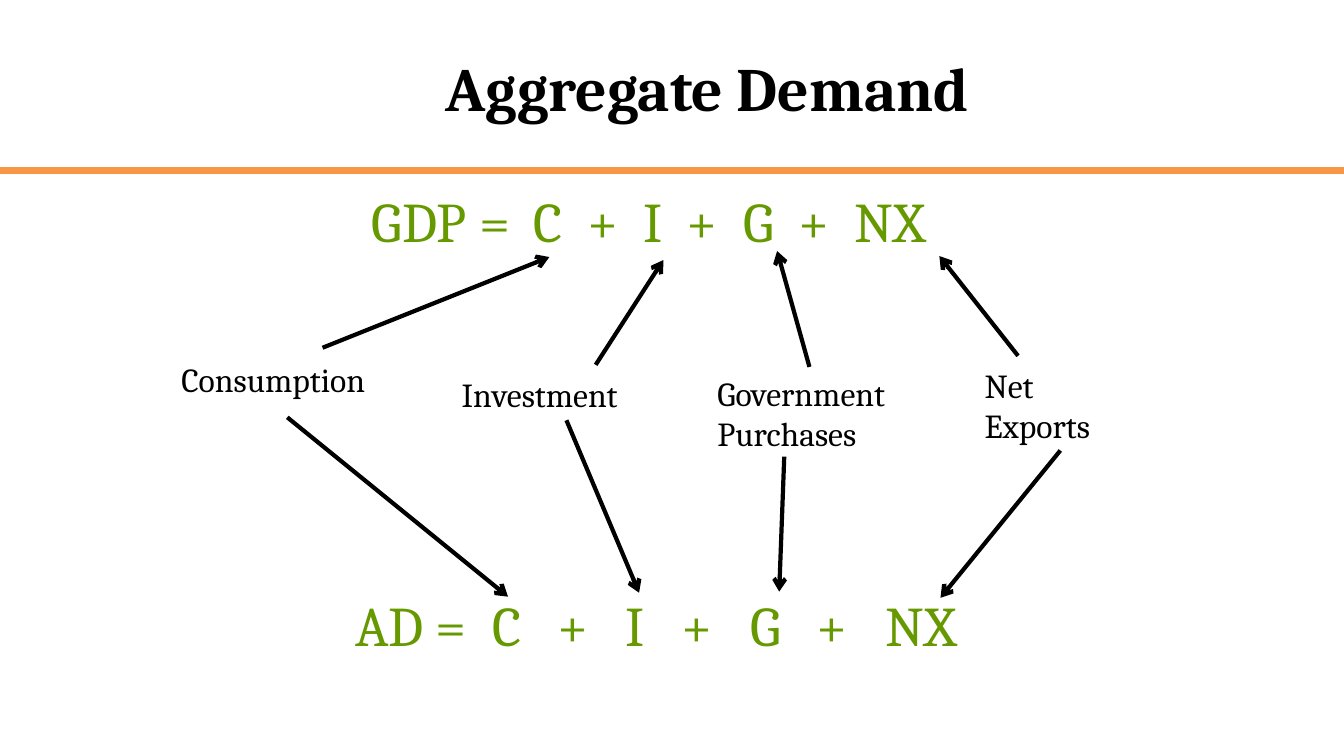
from dataclasses import dataclass

from lxml import etree
from pptx import Presentation
from pptx import util as u
from pptx.dml import color
from pptx.enum import shapes, text
from pptx.oxml import ns

TITLE = "Aggregate Demand"
EQUATIONS = [
    {
        "head": "GDP =",
        "box": (258.5, 129.6, 496, 55.4),
        "text_left": 265.7,
        "centres": (391.4, 430.7, 466.4, 501.4, 542.1, 581.4, 635.7),
    },
    {
        "head": "AD =",
        "box": (137.5, 418.3, 661.7, 55.4),
        "text_left": 253.7,
        "centres": (362.1, 409.3, 453.6, 497.9, 547.1, 594.3, 657.9),
    },
]
TERMS = ("C", "+", "I", "+", "G", "+", "NX")
COMPONENTS = [
    {
        "label": "Consumption",
        "box": (122.4, 252.7, 164.2, 36),
        "arrows": [(230.4, 248.4, 392.4, 183.6), (205.2, 298.1, 362.9, 426.2)],
    },
    {
        "label": "Investment",
        "box": (322.6, 263.5, 164.2, 36),
        "arrows": [(425.5, 260.6, 473.8, 185.8), (404.6, 300.2, 456.5, 423.4)],
    },
    {
        "label": "Government\nPurchases",
        "box": (505.4, 262.8, 164.2, 65.5),
        "arrows": [(578.2, 262.1, 555.1, 179.3), (560.2, 326.2, 556.6, 422.6)],
    },
    {
        "label": "Net\nExports",
        "box": (696.2, 257, 123.1, 65.5),
        "arrows": [(727.2, 254.2, 671, 182.9), (757.4, 321.8, 671.8, 427)],
    },
]


@dataclass(frozen=True)
class Theme:
    font: str = "Cambria"
    ink: str = "000000"
    equation: str = "669900"
    rule: str = "F79646"
    title_size: int = 44
    equation_size: int = 40
    label_size: int = 24
    rule_width: float = 4.5
    arrow_width: float = 3


THEME = Theme()


def points(values):
    return [u.Pt(value) for value in values]


def style(frame, size, ink, bold=False):
    for para in frame.paragraphs:
        for span in para.runs:
            span.font.name = THEME.font
            span.font.size = u.Pt(size)
            span.font.bold = bold
            span.font.color.rgb = color.RGBColor.from_string(ink)


def add_text(page, area, words, size, ink):
    box = page.shapes.add_textbox(*points(area))
    frame = box.text_frame
    frame.word_wrap = True
    frame.text = words
    style(frame, size, ink)
    return frame


def add_line(page, ends, ink, width):
    line = page.shapes.add_connector(shapes.MSO_CONNECTOR.STRAIGHT, *points(ends))
    line.line.color.rgb = color.RGBColor.from_string(ink)
    line.line.width = u.Pt(width)
    etree.SubElement(line._element.spPr, ns.qn("a:effectLst"))
    return line


def add_arrow(page, ends):
    arrow = add_line(page, ends, THEME.ink, THEME.arrow_width)
    outline = arrow.line._get_or_add_ln()
    etree.SubElement(outline, ns.qn("a:tailEnd"), type="arrow")


def add_title(page):
    title = page.shapes.title
    title.left, title.top, title.width, title.height = points((73.4, 2.2, 864, 120.2))
    frame = title.text_frame
    frame.text = TITLE
    frame.vertical_anchor = text.MSO_ANCHOR.MIDDLE
    frame.paragraphs[0].alignment = text.PP_ALIGN.CENTER
    style(frame, THEME.title_size, THEME.ink, bold=True)


def add_equation(page, equation):
    words = "\t".join((equation["head"], *TERMS))
    frame = add_text(page, equation["box"], words, THEME.equation_size, THEME.equation)
    frame.margin_left = u.Pt(equation["text_left"] - equation["box"][0])
    properties = frame.paragraphs[0]._p.get_or_add_pPr()
    stops = etree.SubElement(properties, ns.qn("a:tabLst"))
    for centre in equation["centres"]:
        offset = u.Pt(centre - equation["text_left"])
        etree.SubElement(stops, ns.qn("a:tab"), pos=str(int(offset)), algn="ctr")


def main():
    deck = Presentation()
    deck.slide_width, deck.slide_height = points((960, 540))
    page = deck.slides.add_slide(deck.slide_layouts.get_by_name("Title Only"))
    add_line(page, (0, 121.7, 960, 121.7), THEME.rule, THEME.rule_width)
    add_title(page)
    for equation in EQUATIONS:
        add_equation(page, equation)
    for component in COMPONENTS:
        add_text(page, component["box"], component["label"], THEME.label_size, THEME.ink)
        for ends in component["arrows"]:
            add_arrow(page, ends)
    deck.save("out.pptx")


if __name__ == "__main__":
    main()
